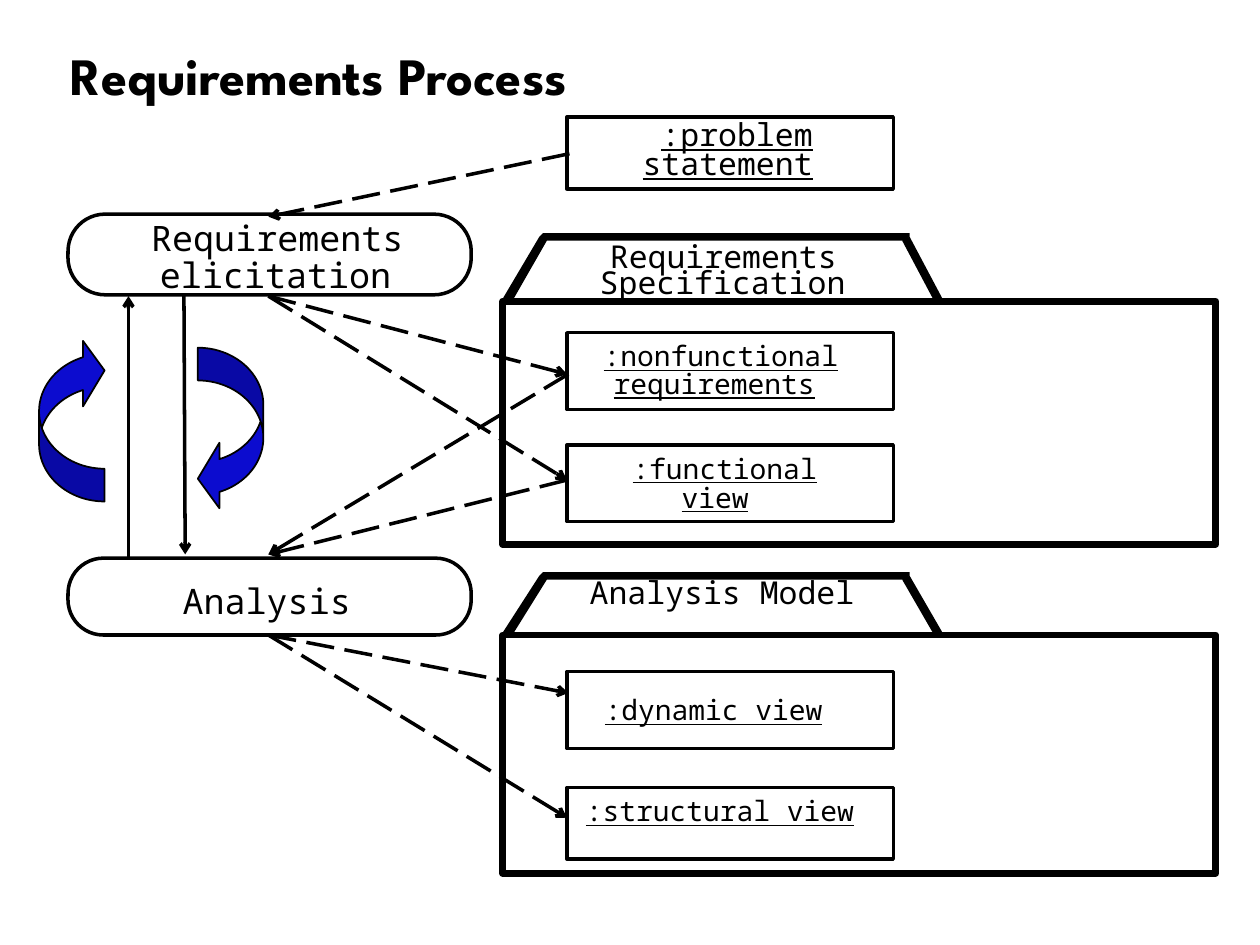
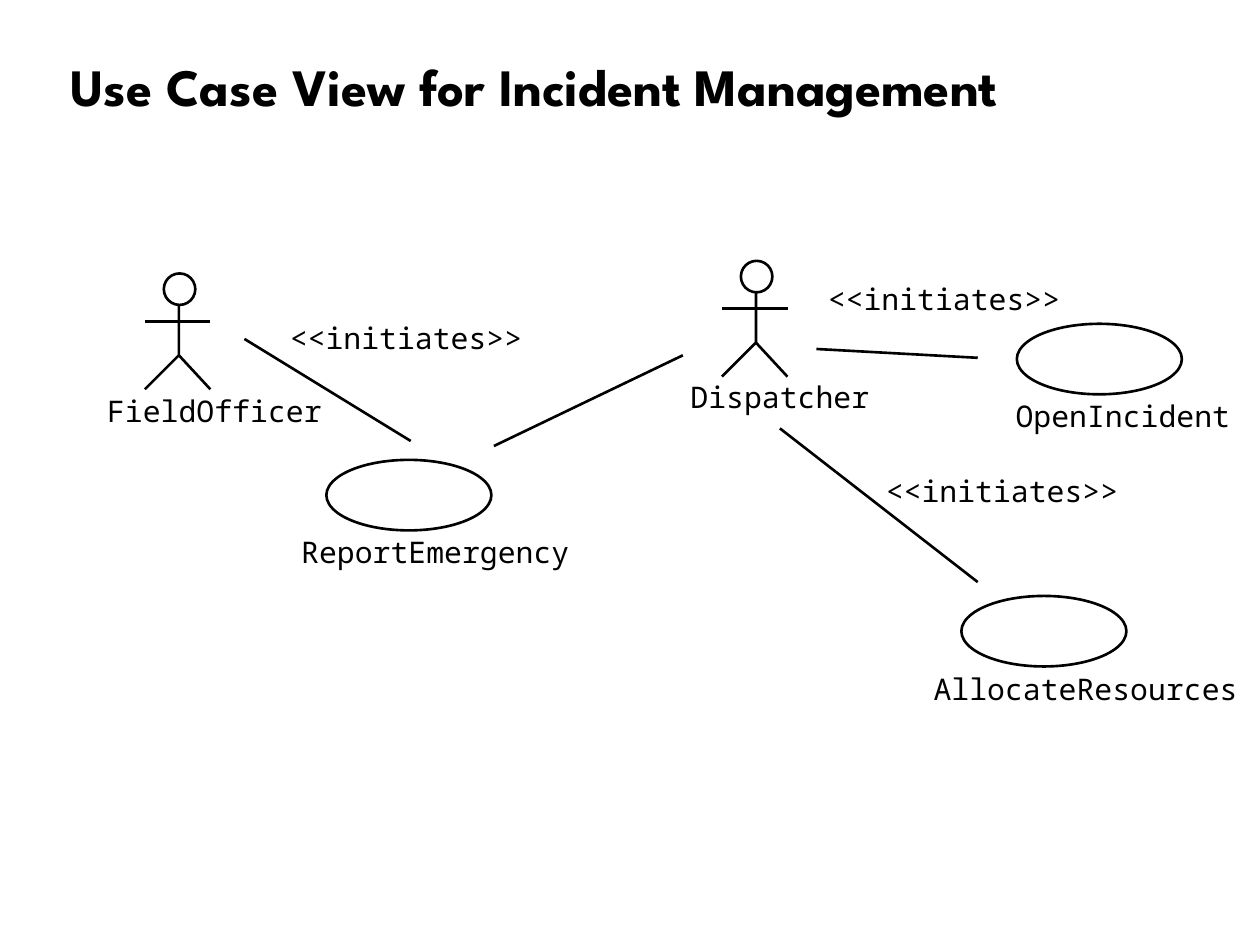
"""Build two slides: the requirements process and an incident use case view."""
from dataclasses import dataclass

from lxml import etree
from pptx import Presentation
from pptx.dml.color import RGBColor
from pptx.enum.dml import MSO_LINE
from pptx.enum.shapes import MSO_CONNECTOR, MSO_SHAPE
from pptx.enum.text import MSO_ANCHOR, MSO_AUTO_SIZE
from pptx.oxml.ns import qn
from pptx.presentation import Presentation as Deck
from pptx.shapes.autoshape import Shape
from pptx.slide import Slide
from pptx.util import Emu, Pt

RECTANGLE = MSO_SHAPE.RECTANGLE
ROUNDED = MSO_SHAPE.ROUNDED_RECTANGLE
OVAL = MSO_SHAPE.OVAL
CURVED_ARROW = MSO_SHAPE.CURVED_LEFT_ARROW
STRAIGHT = MSO_CONNECTOR.STRAIGHT
LONG_DASH = MSO_LINE.LONG_DASH
MIDDLE = MSO_ANCHOR.MIDDLE
FIT_TEXT = MSO_AUTO_SIZE.SHAPE_TO_FIT_TEXT

EMU_PER_PX = 9144
BLACK = RGBColor(0x00, 0x00, 0x00)
WHITE = RGBColor(0xFF, 0xFF, 0xFF)
BLUE = RGBColor(0x0C, 0x0C, 0xCF)
TITLE_FONT = "League Spartan"
LABEL_FONT = "Noto Sans Mono"
CHARACTER_WIDTH = 0.84
LINE_HEIGHT = 5 / 3
PROCESS_LINE = 2
FOLDER_LINE = 3.88
USE_CASE_LINE = 1.5
ARTIFACT_LEFT, ARTIFACT_WIDTH = 450, 259
FOLDER_LEFT, FOLDER_WIDTH = 399, 566
ACTIVITY_LEFT, ACTIVITY_WIDTH = 54, 320
USE_CASE_SIZE = (131, 56)

Point = tuple[int, int]


@dataclass(frozen=True)
class Label:
    """One line of monospaced text."""
    text: str
    left: int
    top: int
    size: int = 17
    underline: bool = False


@dataclass(frozen=True)
class Link:
    """A straight line between two points."""
    start: Point
    end: Point
    width: float = USE_CASE_LINE
    dashed: bool = False
    arrow: bool = False


@dataclass(frozen=True)
class Span:
    """The vertical extent of a process box."""
    top: int
    height: int


@dataclass(frozen=True)
class Folder:
    """A package with a tab above its body."""
    tab_top: int
    tab_bottom: int
    body: Span


@dataclass(frozen=True)
class Actor:
    """A stick figure placed by the top of its head."""
    center: int
    top: int


ARTIFACTS = [Span(93, 57), Span(264, 61), Span(353, 61), Span(533, 61), Span(625, 57)]
ACTIVITIES = [Span(170, 64), Span(443, 61)]
FOLDERS = [Folder(185, 240, Span(239, 193)), Folder(454, 505, Span(504, 189))]
PROCESS_LABELS = [
    Label(":problem", 525, 91, 18, True),
    Label("statement", 510, 114, 18, True),
    Label("Requirements", 120, 172, 20),
    Label("elicitation", 127, 201, 20),
    Label("Analysis", 145, 460, 20),
    Label("Requirements", 484, 188, 18),
    Label("Specification", 476, 209, 18),
    Label("Analysis Model", 468, 455, 18),
    Label(":nonfunctional", 479, 269, 16, True),
    Label("requirements", 487, 291, 16, True),
    Label(":functional", 502, 358, 16, True),
    Label("view", 541, 381, 16, True),
    Label(":dynamic view", 480, 550, 16, True),
    Label(":structural view", 465, 630, 16, True),
]
DATA_FLOWS = [
    ((452, 122), (213, 172)),
    ((213, 235), (450, 297)),
    ((213, 235), (450, 381)),
    ((451, 297), (213, 440)),
    ((450, 381), (213, 440)),
    ((213, 504), (451, 550)),
    ((213, 504), (450, 649)),
]
CONTROL_FLOWS = [((146, 235), (147, 440)), ((102, 443), (102, 235))]
CYCLE_ARROWS = [(157, 276, 0), (31, 268, 180)]

ACTORS = [Actor(142, 217), Actor(600, 207)]
USE_CASES = [(259, 365), (807, 257), (763, 473)]
USE_CASE_LABELS = [
    Label("FieldOfficer", 85, 312),
    Label("Dispatcher", 548, 301),
    Label("ReportEmergency", 239, 424),
    Label("OpenIncident", 806, 316),
    Label("AllocateResources", 741, 532),
    Label("<<initiates>>", 230, 254),
    Label("<<initiates>>", 657, 223),
    Label("<<initiates>>", 703, 375),
]
ASSOCIATIONS = [
    Link((194, 269), (326, 350)),
    Link((392, 354), (542, 282)),
    Link((648, 277), (776, 284)),
    Link((619, 340), (776, 462)),
]


def px(length: float) -> Emu:
    """Turn px into EMU."""
    return Emu(round(length * EMU_PER_PX))


def add_titled_slide(presentation: Deck, title: str, top: int) -> Slide:
    """Add a blank white slide with the shared title style."""
    slide = presentation.slides.add_slide(presentation.slide_layouts[6])
    slide.background.fill.solid()
    slide.background.fill.fore_color.rgb = WHITE
    text_frame = slide.shapes.add_textbox(px(46), px(top), px(892), px(94)).text_frame
    text_frame.word_wrap = True
    text_frame.vertical_anchor = MIDDLE
    text_frame.text = title
    paragraph = text_frame.paragraphs[0]
    paragraph.line_spacing = 0.9
    font = paragraph.runs[0].font
    font.name, font.size, font.bold = TITLE_FONT, Pt(30), True
    font.color.rgb = BLACK
    return slide


def add_label(slide: Slide, label: Label) -> None:
    """Draw a label in a box that fits its text."""
    width = len(label.text) * label.size * CHARACTER_WIDTH
    box = slide.shapes.add_textbox(
        px(label.left), px(label.top), px(width), px(label.size * LINE_HEIGHT))
    text_frame = box.text_frame
    text_frame.margin_left = text_frame.margin_right = 0
    text_frame.margin_top = text_frame.margin_bottom = 0
    text_frame.word_wrap = False
    text_frame.auto_size = FIT_TEXT
    text_frame.text = label.text
    font = text_frame.paragraphs[0].runs[0].font
    font.name, font.size = LABEL_FONT, Pt(label.size)
    font.color.rgb = BLACK
    if label.underline:
        font.underline = True


def style_shape(shape: Shape, fill: RGBColor | None, line_width: float) -> None:
    """Set the fill and black outline, where a zero width means no outline."""
    shape.shadow.inherit = False
    if fill is None:
        shape.fill.background()
    else:
        shape.fill.solid()
        shape.fill.fore_color.rgb = fill
    if line_width:
        shape.line.color.rgb = BLACK
        shape.line.width = Pt(line_width)
    else:
        shape.line.fill.background()


def add_box(slide: Slide, kind: MSO_SHAPE, left: int, top: int, width: int, height: int,
            line_width: float, fill: RGBColor | None = None) -> Shape:
    """Draw an outlined preset shape."""
    shape = slide.shapes.add_shape(kind, px(left), px(top), px(width), px(height))
    style_shape(shape, fill, line_width)
    return shape


def add_outline(slide: Slide, points: list[Point], fill: RGBColor | None = None,
                line_width: float = 0) -> None:
    """Draw a polygon when filled, or an open line otherwise."""
    builder = slide.shapes.build_freeform(*points[0], scale=EMU_PER_PX)
    builder.add_line_segments(points[1:], close=fill is not None)
    style_shape(builder.convert_to_shape(), fill, line_width)


def add_link(slide: Slide, link: Link) -> None:
    """Draw a straight link, with dashes and an arrowhead if asked for."""
    connector = slide.shapes.add_connector(
        STRAIGHT, *(px(value) for value in link.start + link.end))
    connector.line.color.rgb = BLACK
    connector.line.width = Pt(link.width)
    if link.dashed:
        connector.line.dash_style = LONG_DASH
    properties = connector.element.spPr
    if link.arrow:
        etree.SubElement(properties.find(qn("a:ln")), qn("a:tailEnd"), type="arrow")
    etree.SubElement(properties, qn("a:effectLst"))


def add_folder(slide: Slide, folder: Folder) -> None:
    """Draw a package body and the three strokes of its tab."""
    top, bottom, left = folder.tab_top, folder.tab_bottom, FOLDER_LEFT
    add_box(slide, RECTANGLE, left, folder.body.top, FOLDER_WIDTH, folder.body.height,
            FOLDER_LINE)
    strokes = [
        [(left, bottom - 3), (left + 7, bottom), (434, top + 6), (431, top), (428, top + 3)],
        [(431, top), (431, top + 6), (719, top + 6), (722, top + 3), (722, top)],
        [(722, top + 3), (716, top + 6), (742, bottom), (751, bottom), (748, bottom - 3)],
    ]
    for stroke in strokes:
        add_outline(slide, stroke, BLACK)


def add_actor(slide: Slide, actor: Actor) -> None:
    """Draw a stick figure."""
    center, top = actor.center, actor.top
    left, right = center - 27, center + 25
    hip, foot, arm = top + 65, top + 92, top + 38
    add_outline(slide, [(center, top + 19), (center, hip), (left, foot)],
                line_width=USE_CASE_LINE)
    add_link(slide, Link((center, hip), (right, foot)))
    add_link(slide, Link((left, arm), (right, arm)))
    add_box(slide, OVAL, center - 12, top, 25, 25, USE_CASE_LINE, WHITE)


def build_process_slide(presentation: Deck) -> None:
    """Draw the requirements process."""
    slide = add_titled_slide(presentation, "Requirements Process", 15)
    for folder in FOLDERS:
        add_folder(slide, folder)
    for span in ARTIFACTS:
        add_box(slide, RECTANGLE, ARTIFACT_LEFT, span.top, ARTIFACT_WIDTH, span.height,
                PROCESS_LINE)
    for span in ACTIVITIES:
        activity = add_box(slide, ROUNDED, ACTIVITY_LEFT, span.top, ACTIVITY_WIDTH,
                           span.height, PROCESS_LINE)
        activity.adjustments[0] = 0.46
    for start, end in DATA_FLOWS:
        add_link(slide, Link(start, end, PROCESS_LINE, dashed=True, arrow=True))
    for start, end in CONTROL_FLOWS:
        add_link(slide, Link(start, end, PROCESS_LINE, arrow=True))
    for left, top, rotation in CYCLE_ARROWS:
        arrow = add_box(slide, CURVED_ARROW, left, top, 52, 130, 1, BLUE)
        arrow.rotation = rotation
        for index, value in enumerate((0.5, 1.0, 0.33)):
            arrow.adjustments[index] = value
    for label in PROCESS_LABELS:
        add_label(slide, label)


def build_use_case_slide(presentation: Deck) -> None:
    """Draw the use case view."""
    slide = add_titled_slide(presentation, "Use Case View for Incident Management", 24)
    for left, top in USE_CASES:
        add_box(slide, OVAL, left, top, *USE_CASE_SIZE, USE_CASE_LINE)
    for actor in ACTORS:
        add_actor(slide, actor)
    for link in ASSOCIATIONS:
        add_link(slide, link)
    for label in USE_CASE_LABELS:
        add_label(slide, label)


def main() -> None:
    """Build and save the presentation."""
    presentation = Presentation()
    presentation.slide_width, presentation.slide_height = px(1000), px(750)
    build_process_slide(presentation)
    build_use_case_slide(presentation)
    presentation.save("out.pptx")


if __name__ == "__main__":
    main()
